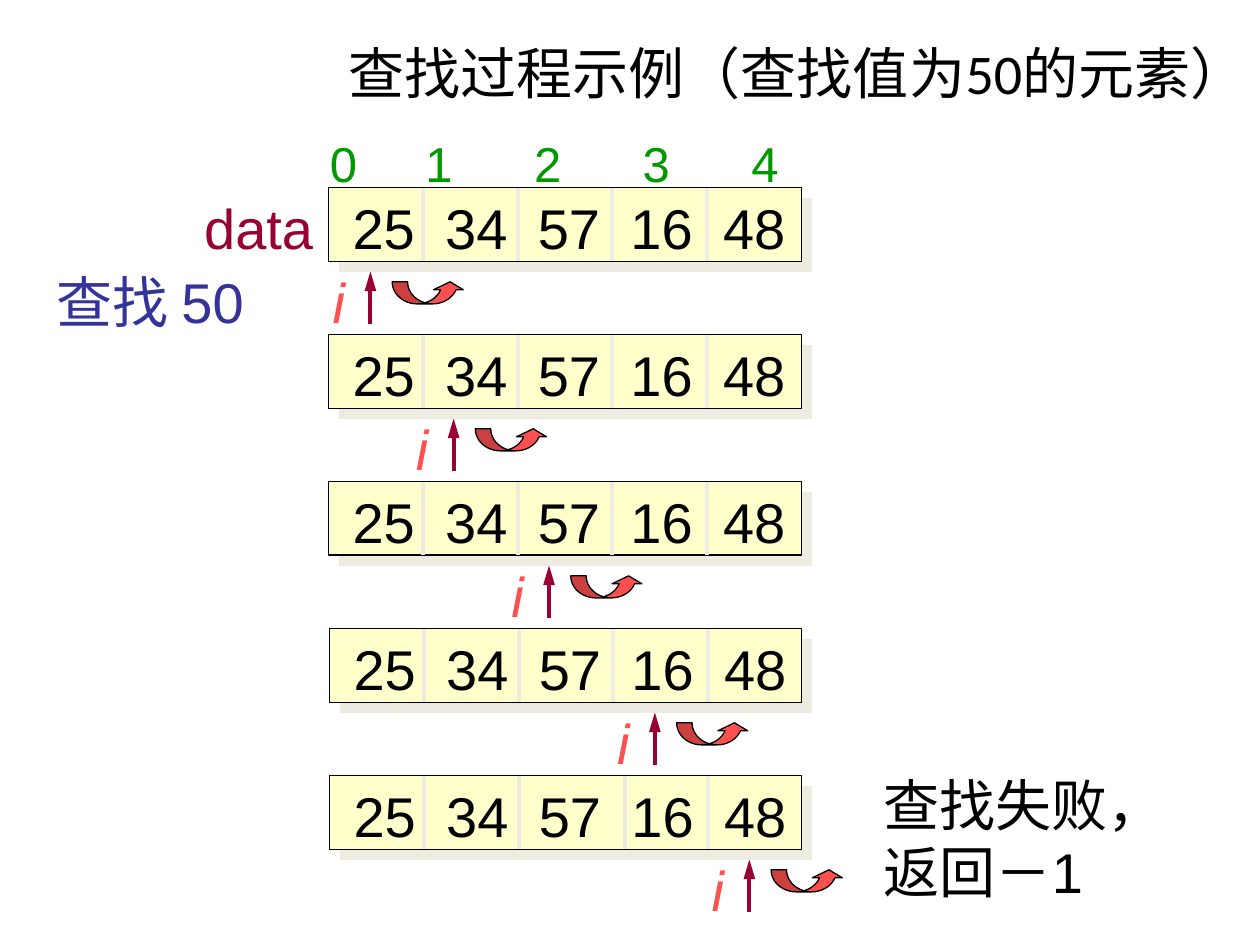
from dataclasses import dataclass

from lxml.etree import SubElement
from pptx import Presentation
from pptx.dml.color import RGBColor
from pptx.enum.shapes import MSO_CONNECTOR, MSO_SHAPE
from pptx.enum.text import MSO_ANCHOR, MSO_AUTO_SIZE, PP_ALIGN
from pptx.oxml.ns import qn
from pptx.shapes.autoshape import Shape
from pptx.shapes.connector import Connector
from pptx.slide import Slide
from pptx.util import Emu, Inches, Pt


@dataclass(frozen=True)
class Theme:
    ink: str = "000000"
    cell: str = "FFFFCC"
    soft: str = "EEECE1"
    index: str = "009900"
    pointer: str = "990033"
    target: str = "333399"
    step: str = "FF5050"
    body_font: str = "Arial"
    title_font: str = "Calibri"
    body_size: int = 32
    index_size: int = 28
    thin: float = 0.75
    thick: float = 2.25


THEME = Theme()


@dataclass(frozen=True)
class Step:
    """One comparison; positions are counted in columns."""
    pointer: float
    shift: float = 0
    dividers: tuple[float, ...] = (1, 2, 3, 4)


@dataclass(frozen=True)
class Label:
    """Text with its place and size in columns and rows."""
    lines: tuple[str, ...]
    col: float
    row: float
    cols: float
    rows: float
    color: str
    size: int = THEME.body_size
    font: str = THEME.body_font
    italic: bool = False
    wrap: bool = True
    grow: bool = True
    tabs: tuple[float, ...] = ()


VALUES = ("25", "34", "57", "16", "48")
CELL_ROWS = 0.5
STEPS = (
    Step(0.44),
    Step(1.32),
    Step(2.33),
    Step(3.45, 0.01),
    Step(4.45, 0.01, (1, 2, 3.12, 4)),
)
LABELS = (
    Label(("0\t1\t2\t3\t4",), -0.12, -0.41, 5.1, 0.49, THEME.index,
          THEME.index_size, tabs=(1.01, 2.16, 3.31, 4.46)),
    Label(("data",), -1.45, 0, 1.6, 0.55, THEME.pointer),
    Label(("查找 50",), -3.01, 0.5, 2.61, 0.55, THEME.target),
    Label(("查找失败，", "返回－1"), 5.74, 3.92, 3.73, 1, THEME.ink),
    Label(("查找过程示例（查找值为50的元素）",), 0.08, -1.14, 9.77, 0.71,
          THEME.ink, font=THEME.title_font, grow=False),
)


# Grid: columns are array cells, rows are search steps
def width(cols: float) -> Emu:
    return Inches(0.75 * cols)


def height(rows: float) -> Emu:
    return Inches(7 / 6 * rows)


def left(col: float) -> Emu:
    return Emu(Inches(2.61) + width(col))


def top(row: float) -> Emu:
    return Emu(Inches(1.49) + height(row))


def rgb(color: str) -> RGBColor:
    return RGBColor.from_string(color)


def draw_label(slide: Slide, label: Label) -> None:
    box = slide.shapes.add_textbox(left(label.col), top(label.row),
                                   width(label.cols), height(label.rows))
    frame = box.text_frame
    frame.word_wrap = label.wrap
    if label.grow:
        frame.auto_size = MSO_AUTO_SIZE.SHAPE_TO_FIT_TEXT
    else:
        frame.auto_size = MSO_AUTO_SIZE.NONE
        frame.vertical_anchor = MSO_ANCHOR.MIDDLE
    for number, line in enumerate(label.lines):
        paragraph = frame.add_paragraph() if number else frame.paragraphs[0]
        paragraph.alignment = PP_ALIGN.LEFT
        if label.tabs:
            stops = SubElement(paragraph._p.get_or_add_pPr(), qn("a:tabLst"))
            for stop in label.tabs:
                SubElement(stops, qn("a:tab"), pos=str(width(stop)), algn="l")
        run = paragraph.add_run()
        run.text = line
        run.font.name = label.font
        run.font.size = Pt(label.size)
        run.font.italic = label.italic
        run.font.color.rgb = rgb(label.color)


def draw_line(slide: Slide, col: float, start: float, end: float,
              color: str) -> Connector:
    line = slide.shapes.add_connector(MSO_CONNECTOR.STRAIGHT, left(col),
                                      top(start), left(col), top(end))
    line.line.color.rgb = rgb(color)
    line.line.width = Pt(THEME.thick)
    SubElement(line._element.spPr, qn("a:effectLst"))
    return line


def draw_shape(slide: Slide, kind: MSO_SHAPE, col: float, row: float,
               cols: float, rows: float, fill: str) -> Shape:
    shape = slide.shapes.add_shape(kind, left(col), top(row),
                                   width(cols), height(rows))
    shape.fill.solid()
    shape.fill.fore_color.rgb = rgb(fill)
    shape.line.color.rgb = rgb(THEME.ink)
    shape.line.width = Pt(THEME.thin)
    shape.shadow.inherit = False
    return shape


def draw_step(slide: Slide, row: int, step: Step) -> None:
    # Pointer to the current element
    pointer = draw_line(slide, step.pointer, row + 0.93, row + 0.57,
                        THEME.pointer)
    SubElement(pointer.line._get_or_add_ln(), qn("a:tailEnd"),
               type="triangle", len="lg")

    # Array with its shadow, values and dividers
    array = draw_shape(slide, MSO_SHAPE.RECTANGLE, step.shift, row,
                       len(VALUES) - step.shift, CELL_ROWS, THEME.cell)
    effects = array._element.spPr.find(qn("a:effectLst"))
    shadow = SubElement(effects, qn("a:outerShdw"), dist=str(Pt(8.5)),
                        dir="2700000", algn="ctr", rotWithShape="0")
    SubElement(shadow, qn("a:srgbClr"), val=THEME.soft)
    draw_label(slide, Label(("\t".join(VALUES),), 0.12 + step.shift, row,
                            5.1, 0.55, THEME.ink,
                            tabs=tuple(0.98 * n for n in range(1, len(VALUES)))))
    for divider in step.dividers:
        draw_line(slide, divider + step.shift, row, row + CELL_ROWS, THEME.soft)

    # Index name and the jump to the next element
    draw_label(slide, Label(("i",), step.pointer - 0.53, row + 0.5, 0.4, 0.55,
                            THEME.step, italic=True, wrap=False))
    jump = draw_shape(slide, MSO_SHAPE.CURVED_UP_ARROW, step.pointer + 0.23,
                      row + 0.64, 0.77, 0.15, THEME.step)
    for number, share in enumerate((0.7, 1.35, 0.36)):
        jump.adjustments[number] = share


def main() -> None:
    deck = Presentation()
    deck.slide_width, deck.slide_height = Inches(10), Inches(7.5)
    slide = deck.slides.add_slide(deck.slide_layouts[6])
    for row, step in enumerate(STEPS):
        draw_step(slide, row, step)
    for label in LABELS:
        draw_label(slide, label)
    deck.save("out.pptx")


if __name__ == "__main__":
    main()
